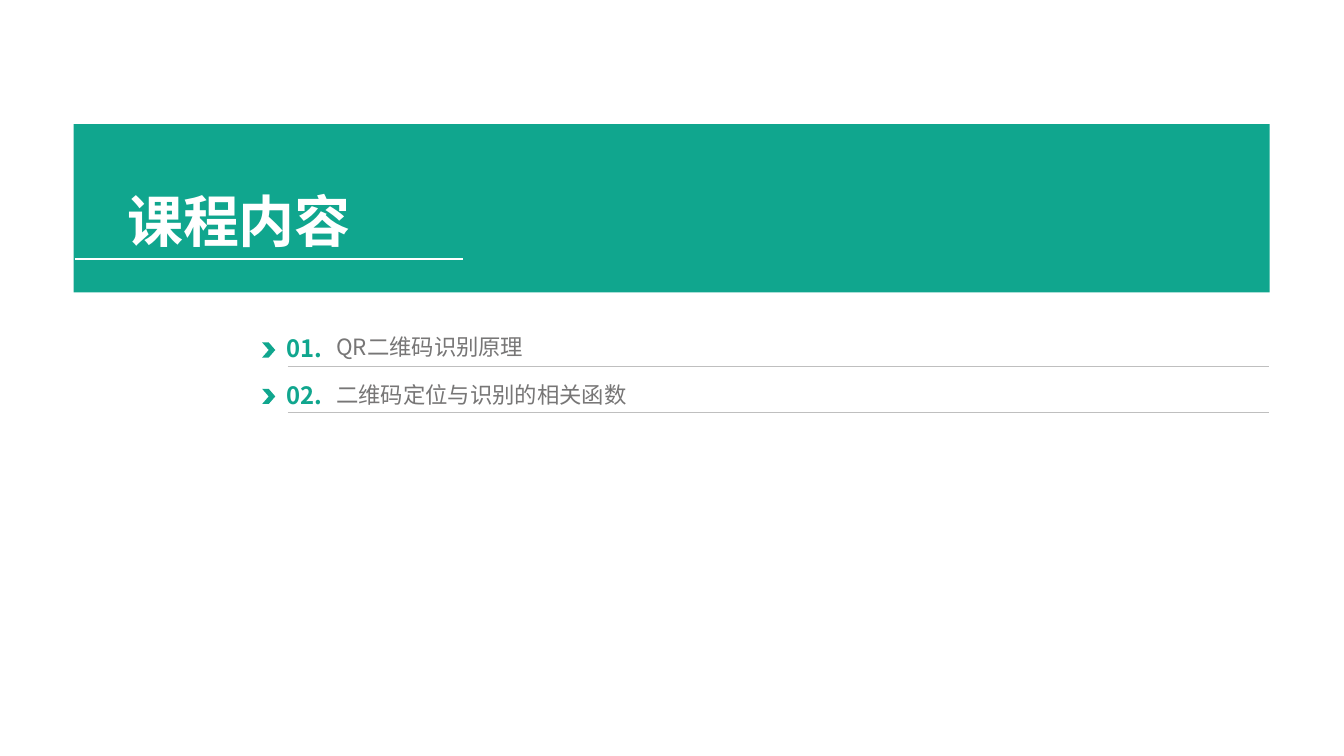
from lxml.etree import SubElement
from pptx import Presentation
from pptx.dml.color import RGBColor
from pptx.enum.shapes import MSO_CONNECTOR, MSO_SHAPE
from pptx.enum.text import MSO_ANCHOR, PP_ALIGN
from pptx.oxml.ns import qn
from pptx.util import Cm, Pt

FONT = "Noto Sans CJK SC"
HUES = {"green": "10A68E", "white": "FFFFFF", "gray": "777676", "rule": "BFBFBF"}
COLORS = {name: RGBColor.from_string(code) for name, code in HUES.items()}

deck = Presentation()
deck.slide_width, deck.slide_height = Cm(33.88), Cm(19.05)
slide = deck.slides.add_slide(deck.slide_layouts[6])
shapes = slide.shapes


def add_text(text, place, size, color, bold=False, frame={}, para={}):
    box = shapes.add_textbox(*map(Cm, place)).text_frame
    line = box.paragraphs[0]
    run = line.add_run()
    run.text = text
    formats = (
        (box, {"word_wrap": True, **frame}),
        (line, para),
        (run.font, {"name": FONT, "size": Pt(size), "bold": bold}),
    )
    for target, values in formats:
        for key, value in values.items():
            setattr(target, key, value)
    run.font.color.rgb = COLORS[color]
    SubElement(run.font._element, qn("a:ea"), typeface=FONT)


def add_rule(left, right, top, width, color):
    rule = shapes.add_connector(
        MSO_CONNECTOR.STRAIGHT, Cm(left), Cm(top), Cm(right), Cm(top))
    rule.line.width = Pt(width)
    rule.line.color.rgb = COLORS[color]
    SubElement(rule._element.spPr, qn("a:effectLst"))


topics = [
    ("QR二维码识别原理", 8.41, 0.81, {"line_spacing": 0.8}),
    ("二维码定位与识别的相关函数", 9.47, 0.94, {}),
]
step = 1.17
marks = [(MSO_SHAPE.RECTANGLE, (1.86, 3.13, 30.15, 4.24))]
for row in range(len(topics)):
    marks.append((MSO_SHAPE.CHEVRON, (6.61, 8.63 + row * step, 0.33, 0.38)))

for kind, place in marks:
    mark = shapes.add_shape(kind, *map(Cm, place))
    mark.shadow.inherit = False
    mark.fill.solid()
    mark.fill.fore_color.rgb = COLORS["green"]
    mark.line.fill.background()

add_text("课程内容", (1.86, 4.57, 8.33, 1.96), 40, "white", True,
         para={"alignment": PP_ALIGN.CENTER})
add_rule(1.88, 11.66, 6.53, 1.5, "white")

for row, (topic, top, height, para) in enumerate(topics):
    drop = row * step
    add_text(f"{row + 1:02}.", (6.93, 8.26 + drop, 1.5, 1.12), 17, "green", True,
             {"vertical_anchor": MSO_ANCHOR.MIDDLE},
             {"alignment": PP_ALIGN.CENTER, "line_spacing": 0.9})
    add_rule(7.26, 32, 9.22 + drop, 0.25, "rule")
    add_text(topic, (8.23, top, 20.45, height), 16, "gray", para=para)

deck.save("out.pptx")
